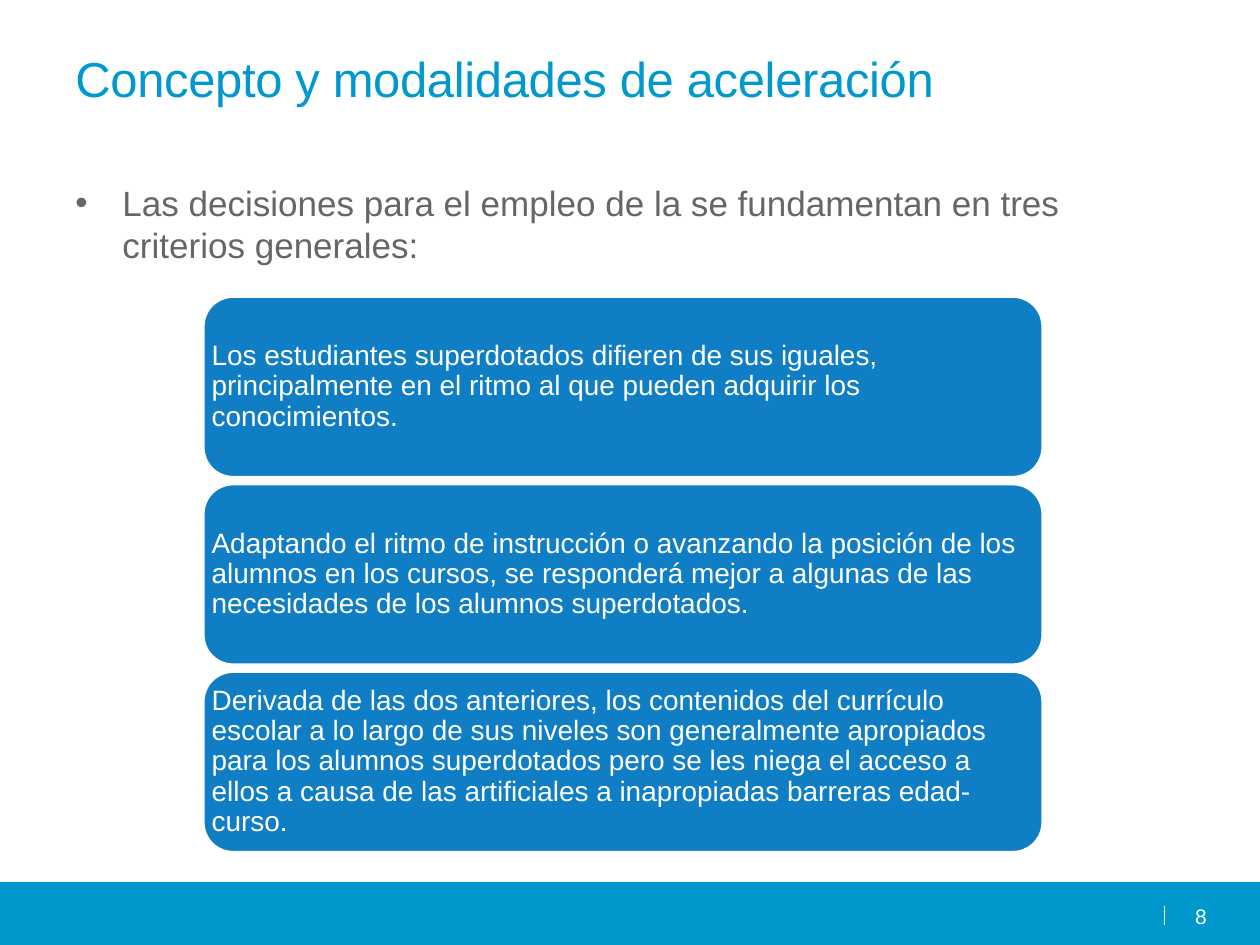
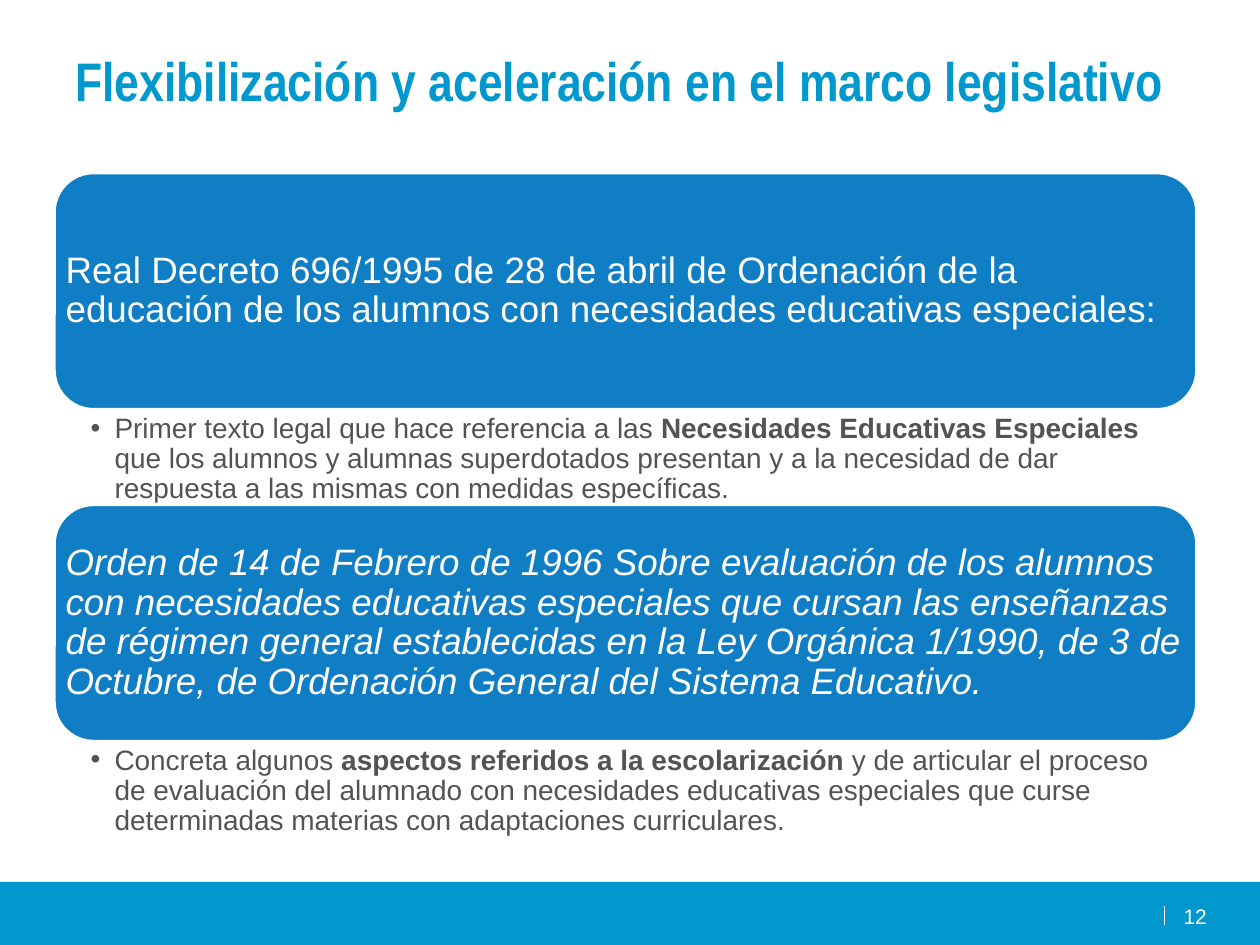
from dataclasses import dataclass

from lxml.etree import SubElement
from pptx import Presentation
from pptx.dml.color import RGBColor
from pptx.enum.shapes import MSO_CONNECTOR, MSO_SHAPE
from pptx.enum.text import MSO_ANCHOR, MSO_AUTO_SIZE, PP_ALIGN
from pptx.oxml.ns import qn
from pptx.util import Cm, Pt

WHITE = "FFFFFF"
SKY = "0098CD"
CARD_BLUE = "0F7EC5"
BODY_GREY = "666666"
NOTE_GREY = "535353"
SLIDE_WIDTH, SLIDE_HEIGHT = 25.4, 19.05


@dataclass(frozen=True)
class Box:
    """Place and size in centimetres."""
    left: float
    top: float
    width: float
    height: float

    def lengths(self) -> tuple:
        return Cm(self.left), Cm(self.top), Cm(self.width), Cm(self.height)

    def moved_down(self, distance: float) -> "Box":
        return Box(self.left, self.top + distance, self.width, self.height)


@dataclass(frozen=True)
class TextStyle:
    size: float
    color: str
    bold: bool = False
    italic: bool = False
    font: str = "Arial"


@dataclass(frozen=True)
class Decree:
    """A legal text and a comment on it, whose middle part is bold."""
    name: str
    comment: tuple
    italic: bool = False


def rgb(value: str) -> RGBColor:
    return RGBColor.from_string(value)


def set_frame(frame, margins=(0, 0, 0, 0), anchor=MSO_ANCHOR.TOP) -> None:
    left, top, right, bottom = (Cm(margin) for margin in margins)
    formats = {"word_wrap": True, "auto_size": MSO_AUTO_SIZE.NONE,
               "vertical_anchor": anchor, "margin_left": left,
               "margin_top": top, "margin_right": right,
               "margin_bottom": bottom}
    for name, value in formats.items():
        setattr(frame, name, value)


def add_run(paragraph, text: str, style: TextStyle, bold: bool = False):
    run = paragraph.add_run()
    run.text = text
    formats = {"name": style.font, "size": Pt(style.size),
               "bold": style.bold or bold, "italic": style.italic}
    for name, value in formats.items():
        setattr(run.font, name, value)
    run.font.color.rgb = rgb(style.color)
    return run


def set_paragraph(paragraph, line_spacing=None, align=PP_ALIGN.LEFT) -> None:
    formats = {"alignment": align, "line_spacing": line_spacing,
               "space_before": Pt(0)}
    for name, value in formats.items():
        setattr(paragraph, name, value)


def add_bullet(paragraph, indent: float) -> None:
    properties = paragraph._p.get_or_add_pPr()
    properties.set("marL", str(Cm(indent)))
    properties.set("indent", str(-Cm(indent)))
    font = SubElement(properties, qn("a:buFont"))
    font.set("typeface", "Arial")
    SubElement(properties, qn("a:buChar")).set("char", "•")


# Shared parts: title, footer band, cards
def add_title_slide(deck, title: str, style: TextStyle, line: float,
                    number: int, tracking: int = 0):
    slide = deck.slides.add_slide(deck.slide_layouts[5])
    heading = slide.shapes.title
    places = ("left", "top", "width", "height")
    for name, value in zip(places, Box(1.27, 0.76, 22.86, 3.18).lengths()):
        setattr(heading, name, value)
    set_frame(heading.text_frame, (0.25, 0.13, 0.25, 0.13))
    paragraph = heading.text_frame.paragraphs[0]
    set_paragraph(paragraph, Pt(line))
    run = add_run(paragraph, title, style)
    if tracking:
        run._r.get_or_add_rPr().set("spc", str(tracking))
    add_footer(slide, number)
    return slide


def add_footer(slide, number: int) -> None:
    band_top = 17.78
    band = slide.shapes.add_shape(
        MSO_SHAPE.RECTANGLE,
        *Box(0, band_top, SLIDE_WIDTH, SLIDE_HEIGHT - band_top).lengths())
    band.shadow.inherit = False
    band.fill.solid()
    band.fill.fore_color.rgb = rgb(SKY)
    band.line.fill.background()

    divider = slide.shapes.add_connector(
        MSO_CONNECTOR.STRAIGHT, Cm(23.47), Cm(18.64), Cm(23.47), Cm(18.26))
    divider.line.color.rgb = rgb(WHITE)
    divider.line.width = Pt(0.75)
    SubElement(divider._element.spPr, qn("a:effectLst"))

    page = slide.shapes.add_textbox(*Box(23.57, 18.21, 0.76, 0.48).lengths())
    set_frame(page.text_frame)
    paragraph = page.text_frame.paragraphs[0]
    set_paragraph(paragraph, align=PP_ALIGN.RIGHT)
    add_run(paragraph, str(number), TextStyle(12, WHITE))


def add_card(slide, box: Box, text: str, style: TextStyle) -> None:
    card = slide.shapes.add_shape(MSO_SHAPE.ROUNDED_RECTANGLE, *box.lengths())
    card.shadow.inherit = False
    card.fill.solid()
    card.fill.fore_color.rgb = rgb(CARD_BLUE)
    card.line.color.rgb = rgb(WHITE)
    card.line.width = Pt(2)
    set_frame(card.text_frame, anchor=MSO_ANCHOR.MIDDLE)
    paragraph = card.text_frame.paragraphs[0]
    set_paragraph(paragraph, 0.9)
    add_run(paragraph, text, style)


def add_bulleted_text(slide, box: Box, margins: tuple, indent: float,
                      line_spacing, parts: tuple, style: TextStyle) -> None:
    text = slide.shapes.add_textbox(*box.lengths())
    set_frame(text.text_frame, margins)
    paragraph = text.text_frame.paragraphs[0]
    set_paragraph(paragraph, line_spacing)
    add_bullet(paragraph, indent)
    for position, part in enumerate(parts):
        add_run(paragraph, part, style, bold=position == 1)


# Slide content
CRITERIA = (
    "Los estudiantes superdotados difieren de sus iguales, principalmente en "
    "el ritmo al que pueden adquirir los conocimientos.",
    "Adaptando el ritmo de instrucción o avanzando la posición de los alumnos "
    "en los cursos, se responderá mejor a algunas de las necesidades de los "
    "alumnos superdotados.",
    "Derivada de las dos anteriores, los contenidos del currículo escolar a lo "
    "largo de sus niveles son generalmente apropiados para los alumnos "
    "superdotados pero se les niega el acceso a ellos a causa de las "
    "artificiales a inapropiadas barreras edad-curso.",
)

DECREES = (
    Decree("Real Decreto 696/1995 de 28 de abril de Ordenación de la educación "
           "de los alumnos con necesidades educativas especiales:",
           ("Primer texto legal que hace referencia a las ",
            "Necesidades Educativas Especiales ",
            "que los alumnos y alumnas superdotados presentan y a la necesidad "
            "de dar respuesta a las mismas con medidas específicas.")),
    Decree("Orden de 14 de Febrero de 1996 Sobre evaluación de los alumnos con "
           "necesidades educativas especiales que cursan las enseñanzas de "
           "régimen general establecidas en la Ley Orgánica 1/1990, de 3 de "
           "Octubre, de Ordenación General del Sistema Educativo.",
           ("Concreta algunos ",
            "aspectos referidos a la escolarización ",
            "y de articular el proceso de evaluación del alumnado con "
            "necesidades educativas especiales que curse determinadas materias "
            "con adaptaciones curriculares."),
           italic=True),
)


def build_criteria(deck) -> None:
    slide = add_title_slide(deck, "Concepto y modalidades de aceleración",
                            TextStyle(28, SKY), 36, 8, tracking=-20)
    add_bulleted_text(
        slide, Box(1.27, 3.53, 22.86, 2.2), (0.25, 0.13, 0.25, 0.13), 0.95,
        Pt(24), ("Las decisiones para el empleo de la se fundamentan en tres "
                 "criterios generales:",), TextStyle(20, BODY_GREY))
    first_card = Box(4.09, 5.97, 16.94, 3.66)
    for row, criterion in enumerate(CRITERIA):
        add_card(slide, first_card.moved_down(row * 3.78), criterion,
                 TextStyle(16, WHITE))


def build_decrees(deck) -> None:
    slide = add_title_slide(
        deck, "Flexibilización y aceleración en el marco legislativo",
        TextStyle(31, SKY, bold=True, font="Arial Narrow"), 39, 12)
    first_card = Box(1.09, 3.48, 23.04, 4.78)
    first_comment = Box(1.09, 8.27, 23.04, 1.9)
    for row, decree in enumerate(DECREES):
        offset = row * 6.69
        add_card(slide, first_card.moved_down(offset), decree.name,
                 TextStyle(21, WHITE, italic=decree.italic))
        add_bulleted_text(slide, first_comment.moved_down(offset),
                          (0.74, 0.08, 0.41, 0.08), 0.48, 0.9,
                          decree.comment, TextStyle(16, NOTE_GREY))


def main() -> None:
    deck = Presentation()
    deck.slide_width, deck.slide_height = Cm(SLIDE_WIDTH), Cm(SLIDE_HEIGHT)
    build_criteria(deck)
    build_decrees(deck)
    deck.save("out.pptx")


if __name__ == "__main__":
    main()
